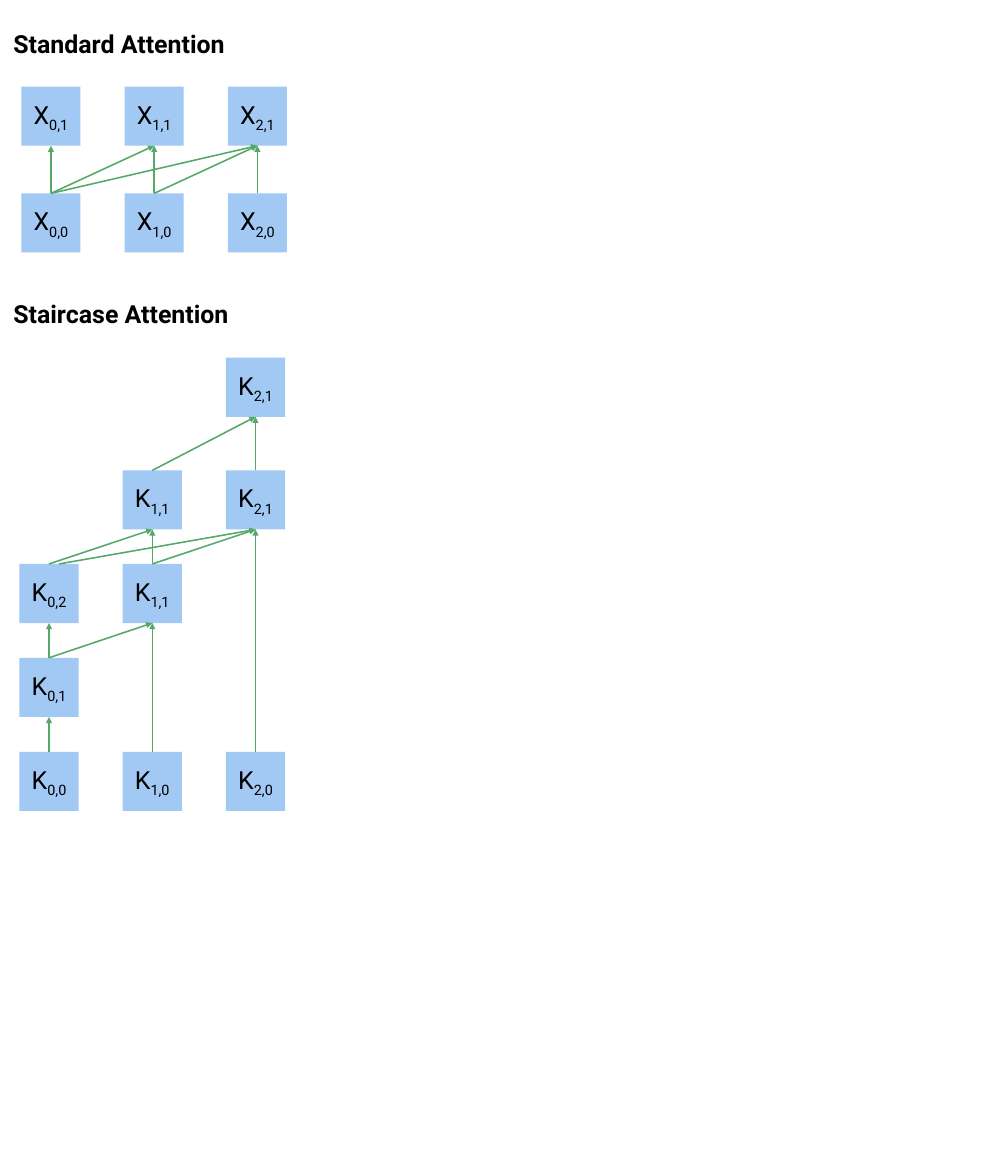
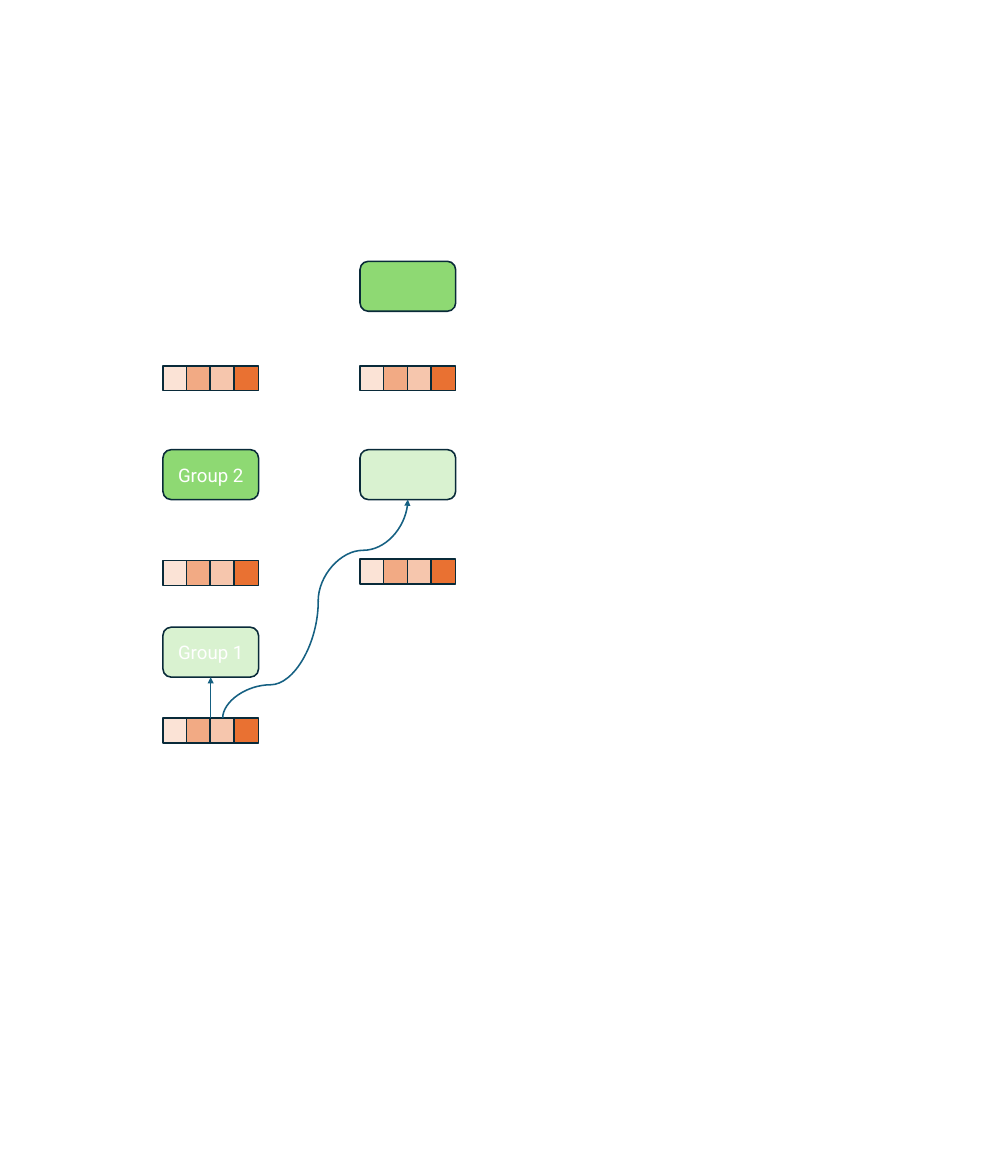
from pptx import Presentation
from pptx.dml.color import RGBColor
from pptx.enum.shapes import MSO_CONNECTOR, MSO_SHAPE
from pptx.enum.text import MSO_ANCHOR, MSO_AUTO_SIZE, PP_ALIGN
from pptx.oxml.ns import qn
from pptx.util import Pt
from lxml.etree import SubElement

BLACK = RGBColor(0x00, 0x00, 0x00)
WHITE = RGBColor(0xFF, 0xFF, 0xFF)
BLUE = RGBColor(0xA1, 0xC9, 0xF4)
GREEN = RGBColor(0x55, 0xA8, 0x68)
NAVY = RGBColor(0x09, 0x2A, 0x39)
TEAL = RGBColor(0x15, 0x60, 0x82)
PALE = RGBColor(0xD9, 0xF2, 0xD0)
LIME = RGBColor(0x8E, 0xD9, 0x73)
CELLS = [
    RGBColor(0xFB, 0xE3, 0xD6),
    RGBColor(0xF2, 0xAA, 0x84),
    RGBColor(0xF6, 0xC6, 0xAD),
    RGBColor(0xE9, 0x71, 0x32),
]
FONT = "Roboto"


def box(shapes, kind, place, fill, edge=None, text="", size=24, color=BLACK):
    shape = shapes.add_shape(kind, *[Pt(n) for n in place])
    shape.shadow.inherit = False
    shape.fill.solid()
    shape.fill.fore_color.rgb = fill
    if edge is None:
        shape.line.fill.background()
    else:
        shape.line.color.rgb = edge
        shape.line.width = Pt(1.5)
    if text:
        frame = shape.text_frame
        frame.vertical_anchor = MSO_ANCHOR.MIDDLE
        para = frame.paragraphs[0]
        para.text = text
        para.alignment = PP_ALIGN.CENTER
        font = para.runs[0].font
        font.name, font.size, font.color.rgb = FONT, Pt(size), color
    return shape


def link(slide, kind, ends, color, head=True):
    line = slide.shapes.add_connector(kind, *[Pt(n) for n in ends])
    line.line.color.rgb = color
    line.line.width = Pt(1.5)
    if head:
        SubElement(line.line._get_or_add_ln(), qn("a:tailEnd"), type="triangle")
    SubElement(line._element.spPr, qn("a:effectLst"))
    return line


deck = Presentation()
deck.slide_width = Pt(960)
deck.slide_height = Pt(1134)
blank = deck.slide_layouts[6]

slide = deck.slides.add_slide(blank)
SIDE = 57
STEP = 99.5

for title, top, width in [
    ("Standard Attention", 23.8, 232.6),
    ("Staircase Attention", 284.4, 235.4),
]:
    head = slide.shapes.add_textbox(Pt(5.8), Pt(top), Pt(width), Pt(36))
    frame = head.text_frame
    frame.word_wrap = False
    frame.auto_size = MSO_AUTO_SIZE.SHAPE_TO_FIT_TEXT
    frame.text = title
    font = frame.paragraphs[0].runs[0].font
    font.name, font.size, font.bold = FONT, Pt(24), True
    font.color.rgb = BLACK

# Each node is (column, level, subscript); each arrow joins two (column, level) keys.
graphs = [
    (
        "X", 20.6, [186.5, 83.5],
        [(col, row, f"{col},{row}") for col in range(3) for row in range(2)],
        [((col, 0), (goal, 1)) for col in range(3) for goal in range(col, 3)],
    ),
    (
        "K", 18.8, [725, 634.3, 543.8, 453.6, 344.9],
        [
            (0, 0, "0,0"), (0, 1, "0,1"), (0, 2, "0,2"),
            (1, 0, "1,0"), (1, 2, "1,1"), (1, 3, "1,1"),
            (2, 0, "2,0"), (2, 3, "2,1"), (2, 4, "2,1"),
        ],
        [
            ((0, 0), (0, 1)), ((0, 1), (0, 2)), ((0, 1), (1, 2)),
            ((1, 0), (1, 2)), ((0, 2), (1, 3)), ((1, 2), (1, 3)),
            ((1, 2), (2, 3)), ((2, 0), (2, 3)), ((1, 3), (2, 4)),
            ((2, 3), (2, 4)),
        ],
    ),
]
for name, left, tops, marks, pairs in graphs:
    nodes = {}
    for col, row, sub in marks:
        place = (left + col * STEP, tops[row], SIDE, SIDE)
        node = box(slide.shapes, MSO_SHAPE.RECTANGLE, place, BLUE, text=name)
        run = node.text_frame.paragraphs[0].add_run()
        run.text = sub
        run.font.name, run.font.size = FONT, Pt(24)
        run.font.color.rgb = BLACK
        run._r.get_or_add_rPr().set("baseline", "-25000")
        nodes[col, row] = node
    for start, goal in pairs:
        line = link(slide, MSO_CONNECTOR.STRAIGHT, (0, 0, 0, 0), GREEN)
        line.begin_connect(nodes[start], 0)
        line.end_connect(nodes[goal], 2)

line = link(slide, MSO_CONNECTOR.STRAIGHT, (56.9, 543.8, 246.3, 510.6), GREEN)
line.end_connect(nodes[2, 3], 2)

slide = deck.slides.add_slide(blank)
LEFT, RIGHT = 157, 347
WIDTH = 92.2
CELL = 23.8
PITCH = (WIDTH - CELL) / 3

for left, top in [
    (LEFT, 692.6), (RIGHT, 539.3), (LEFT, 540.7), (RIGHT, 352.8), (LEFT, 352.8),
]:
    strip = slide.shapes.add_group_shape()
    for col, fill in enumerate(CELLS):
        place = (left + col * PITCH, top, CELL, CELL)
        box(strip.shapes, MSO_SHAPE.RECTANGLE, place, fill, NAVY)

blocks = [
    box(slide.shapes, MSO_SHAPE.ROUNDED_RECTANGLE, (left, top, WIDTH, 48.2),
        fill, NAVY, text, 18, WHITE)
    for left, top, fill, text in [
        (LEFT, 604.8, PALE, "Group 1"),
        (RIGHT, 433.6, PALE, ""),
        (LEFT, 433.6, LIME, "Group 2"),
        (RIGHT, 252, LIME, ""),
    ]
]

line = link(slide, MSO_CONNECTOR.STRAIGHT, (203.1, 692.6, 203.1, 653), TEAL)
line.end_connect(blocks[0], 2)

for x1, y1, x2, y2, bend, head in [
    (306.7, 579.6, 393.1, 481.8, 50000, True),
    (214.6, 692.6, 306.7, 579.6, 28500, False),
]:
    midx, midy = (x1 + x2) / 2, (y1 + y2) / 2
    dx, dy = (y1 - y2) / 2, (x2 - x1) / 2
    ends = (midx + dx, midy + dy, midx - dx, midy - dy)
    curve = link(slide, MSO_CONNECTOR.CURVE, ends, TEAL, head)
    props = curve._element.spPr
    props.find(qn("a:xfrm")).set("rot", "5400000")
    guides = props.find(qn("a:prstGeom")).find(qn("a:avLst"))
    SubElement(guides, qn("a:gd"), name="adj1", fmla=f"val {bend}")

deck.save("out.pptx")
